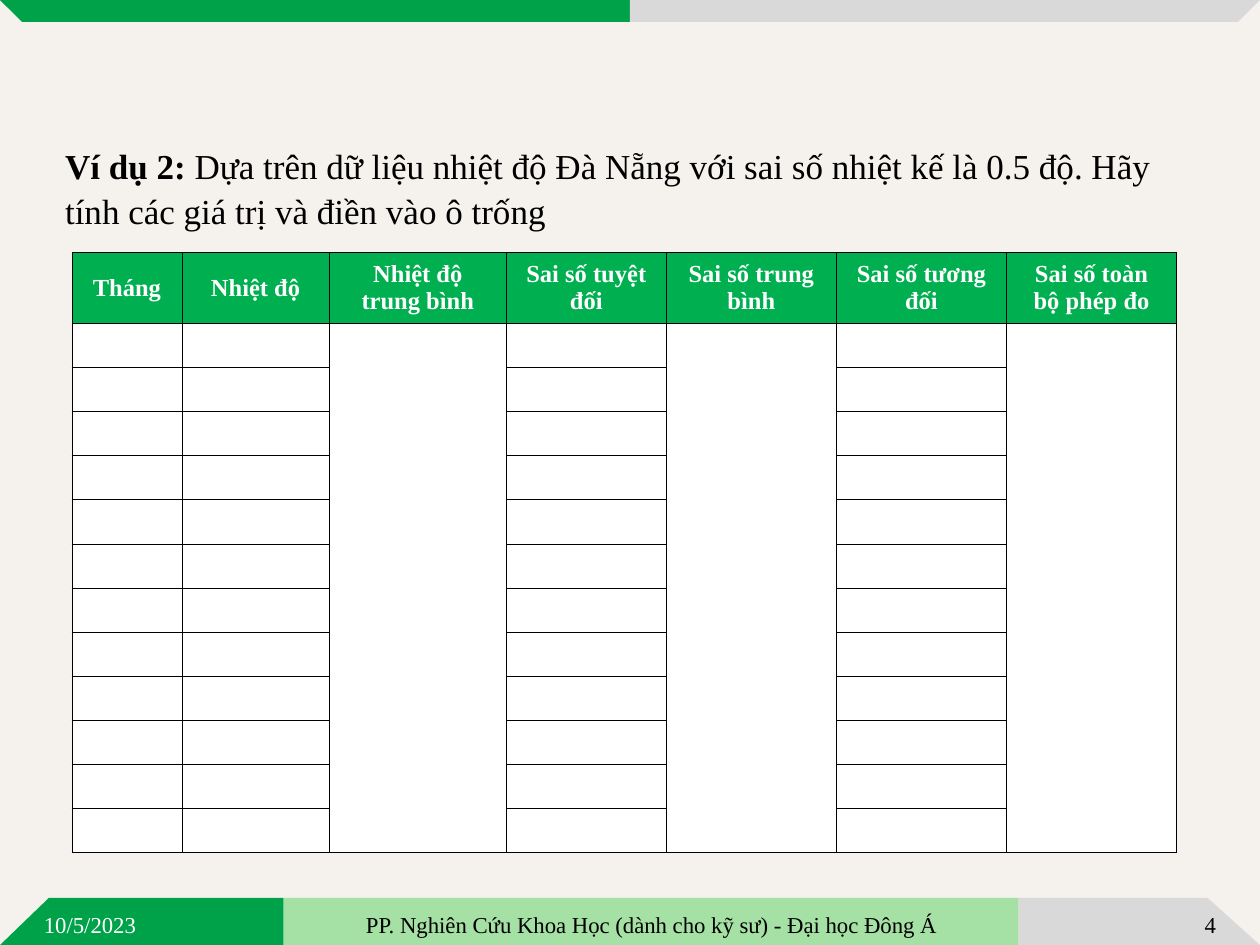
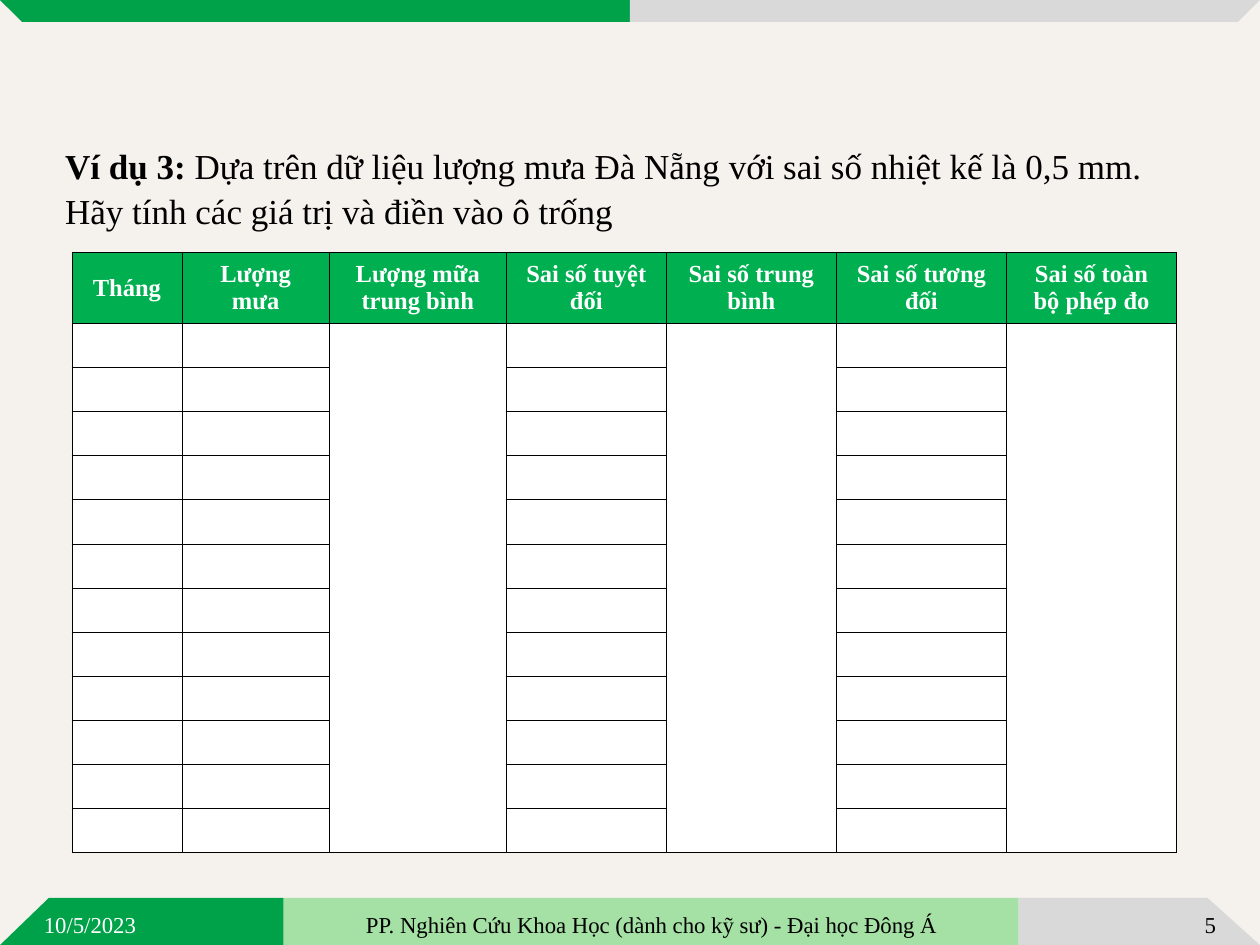
from collections import namedtuple
from lxml.etree import SubElement
from pptx import Presentation
from pptx.dml.color import RGBColor
from pptx.enum.shapes import MSO_SHAPE
from pptx.enum.text import MSO_ANCHOR, MSO_AUTO_SIZE, PP_ALIGN
from pptx.oxml.ns import qn
from pptx.util import Pt

Box = namedtuple("Box", "left top width height")

FONT = "Times New Roman"
CREAM = RGBColor(0xF5, 0xF2, 0xED)
GREEN = RGBColor(0x00, 0xA2, 0x49)
PALE_GREEN = RGBColor(0xA5, 0xE0, 0xA4)
GREY = RGBColor(0xD9, 0xD9, 0xD9)
HEADER_GREEN = RGBColor(0x00, 0xB0, 0x50)
WHITE = RGBColor(0xFF, 0xFF, 0xFF)
BLACK = RGBColor(0x00, 0x00, 0x00)

SLIDE = Box(0, 0, 720, 540)
TOP_BAND = Box(0, 0, 720, 12.5)
FOOTER = Box(0, 513, 720, 27)
TASK = Box(30, 78, 654, 414)
TABLE = Box(41.2, 144, 631.6, 342)

COLUMN_WIDTHS = [62.8, 84.2, 101.2, 91.4, 97.2, 97.2, 97.2]
HEADER_HEIGHT = 39.6
MONTHS = 12
MERGED_COLUMNS = (2, 4, 6)
ERROR_HEADERS = ["Sai số tuyệt đối", "Sai số trung bình",
                 "Sai số tương đối", "Sai số toàn bộ phép đo"]

DATE = "10/5/2023"
COURSE = "PP. Nghiên Cứu Khoa Học (dành cho kỹ sư) - Đại học Đông Á"
FIRST_NUMBER = 4
EXAMPLES = [
    ("Ví dụ 2: ",
     "Dựa trên dữ liệu nhiệt độ Đà Nẵng với sai số nhiệt kế là 0.5 độ. "
     "Hãy tính các giá trị và điền vào ô trống",
     ["Tháng", "Nhiệt độ", "Nhiệt độ trung bình"]),
    ("Ví dụ 3: ",
     "Dựa trên dữ liệu lượng mưa Đà Nẵng với sai số nhiệt kế là 0,5 mm. "
     "Hãy tính các giá trị và điền vào ô trống",
     ["Tháng", "Lượng mưa", "Lượng mữa trung bình"]),
]


def to_points(box):
    return [Pt(length) for length in box]


def set_font(paragraph, size, color, bold=None):
    font = paragraph.font
    font.name = FONT
    font.size = Pt(size)
    font.bold = bold
    font.color.rgb = color


def paint(shape, color):
    shape.shadow.inherit = False
    shape.fill.solid()
    shape.fill.fore_color.rgb = color
    shape.line.fill.background()


def add_panel(slide, corners, color):
    points = [(Pt(x), Pt(y)) for x, y in corners]
    outline = slide.shapes.build_freeform(*points[0])
    outline.add_line_segments(points[1:])
    panel = outline.convert_to_shape()
    paint(panel, color)
    return panel


def add_top_band(slide, box):
    left, top, width, height = box
    middle, right, bottom = left + width / 2, left + width, top + height
    bevel = 12.6
    return [
        add_panel(slide, [(left, top), (middle, top), (middle, bottom),
                          (left + bevel, bottom)], GREEN),
        add_panel(slide, [(middle, top), (right, top),
                          (right - bevel, bottom), (middle, bottom)], GREY),
    ]


def add_footer_band(slide, box):
    left, top, width, height = box
    right, bottom = left + width, top + height
    course_left, course_right = left + 162, right - 138
    course = slide.shapes.add_shape(
        MSO_SHAPE.RECTANGLE,
        *to_points(Box(course_left, top, course_right - course_left, height)))
    paint(course, PALE_GREEN)
    return [
        add_panel(slide, [(left + 28, top), (course_left, top),
                          (course_left, bottom), (left, bottom)], GREEN),
        add_panel(slide, [(course_right, top), (right - 30, top),
                          (right, bottom), (course_right, bottom)], GREY),
        course,
    ]


def share_bands(layout, slide):
    layout.background.fill.solid()
    layout.background.fill.fore_color.rgb = CREAM
    bands = add_footer_band(slide, FOOTER) + add_top_band(slide, TOP_BAND)
    for position, band in enumerate(bands, start=2):
        layout.shapes.element.insert(position, band.element)


def add_footer_text(slide, box, number):
    entries = [
        (DATE, 18, 126, PP_ALIGN.LEFT, WHITE),
        (COURSE, 180, 384, PP_ALIGN.CENTER, BLACK),
        (str(number), 600, 102, PP_ALIGN.RIGHT, BLACK),
    ]
    for text, offset, width, alignment, color in entries:
        place = Box(box.left + offset, box.top + 3, width, box.height - 3)
        frame = slide.shapes.add_textbox(*to_points(place)).text_frame
        frame.word_wrap = True
        frame.vertical_anchor = MSO_ANCHOR.MIDDLE
        paragraph = frame.paragraphs[0]
        paragraph.text = text
        paragraph.alignment = alignment
        set_font(paragraph, 13, color)


def add_task(slide, box, label, question):
    body = slide.placeholders[1]
    body.left, body.top, body.width, body.height = to_points(box)
    frame = body.text_frame
    frame.auto_size = MSO_AUTO_SIZE.NONE
    frame.vertical_anchor = MSO_ANCHOR.TOP
    paragraph = frame.paragraphs[0]
    properties = paragraph._p.get_or_add_pPr()
    properties.set("marL", "0")
    properties.set("indent", "0")
    SubElement(properties, qn("a:buNone"))
    set_font(paragraph, 20, BLACK)
    paragraph.line_spacing = 1.05
    paragraph.space_before = Pt(0)
    paragraph.space_after = Pt(12)
    for text, bold in ((label, True), (question, False)):
        run = paragraph.add_run()
        run.text = text
        run.font.bold = bold


def format_cell(cell, color):
    properties = cell._tc.get_or_add_tcPr()
    for side in ("lnL", "lnR", "lnT", "lnB"):
        border = SubElement(properties, qn(f"a:{side}"), w=str(Pt(0.5)))
        fill = SubElement(border, qn("a:solidFill"))
        SubElement(fill, qn("a:srgbClr"), val=str(BLACK))
    cell.fill.solid()
    cell.fill.fore_color.rgb = color
    cell.vertical_anchor = MSO_ANCHOR.MIDDLE
    cell.text_frame.paragraphs[0].alignment = PP_ALIGN.CENTER


def add_error_table(slide, box, headers):
    table = slide.shapes.add_table(
        MONTHS + 1, len(headers), *to_points(box)).table
    for column, width in zip(table.columns, COLUMN_WIDTHS):
        column.width = Pt(width)
    month_height = (box.height - HEADER_HEIGHT) / MONTHS
    for index, row in enumerate(table.rows):
        row.height = Pt(month_height if index else HEADER_HEIGHT)
        for cell in row.cells:
            format_cell(cell, WHITE if index else HEADER_GREEN)
            if index:
                cell.margin_top = cell.margin_bottom = 0
    for cell, header in zip(table.rows[0].cells, headers):
        paragraph = cell.text_frame.paragraphs[0]
        paragraph.text = header
        set_font(paragraph, 14, WHITE, True)
    for column in MERGED_COLUMNS:
        table.cell(1, column).merge(table.cell(MONTHS, column))


def add_example(presentation, layout, number, label, question, measures):
    slide = presentation.slides.add_slide(layout)
    title = slide.shapes.title.element
    title.getparent().remove(title)
    add_task(slide, TASK, label, question)
    add_footer_text(slide, FOOTER, number)
    add_error_table(slide, TABLE, measures + ERROR_HEADERS)
    return slide


def main():
    presentation = Presentation()
    presentation.slide_width = Pt(SLIDE.width)
    presentation.slide_height = Pt(SLIDE.height)
    layout = presentation.slide_layouts[1]
    slides = [add_example(presentation, layout, number, *example)
              for number, example in enumerate(EXAMPLES, FIRST_NUMBER)]
    share_bands(layout, slides[0])
    presentation.save("out.pptx")


if __name__ == "__main__":
    main()
